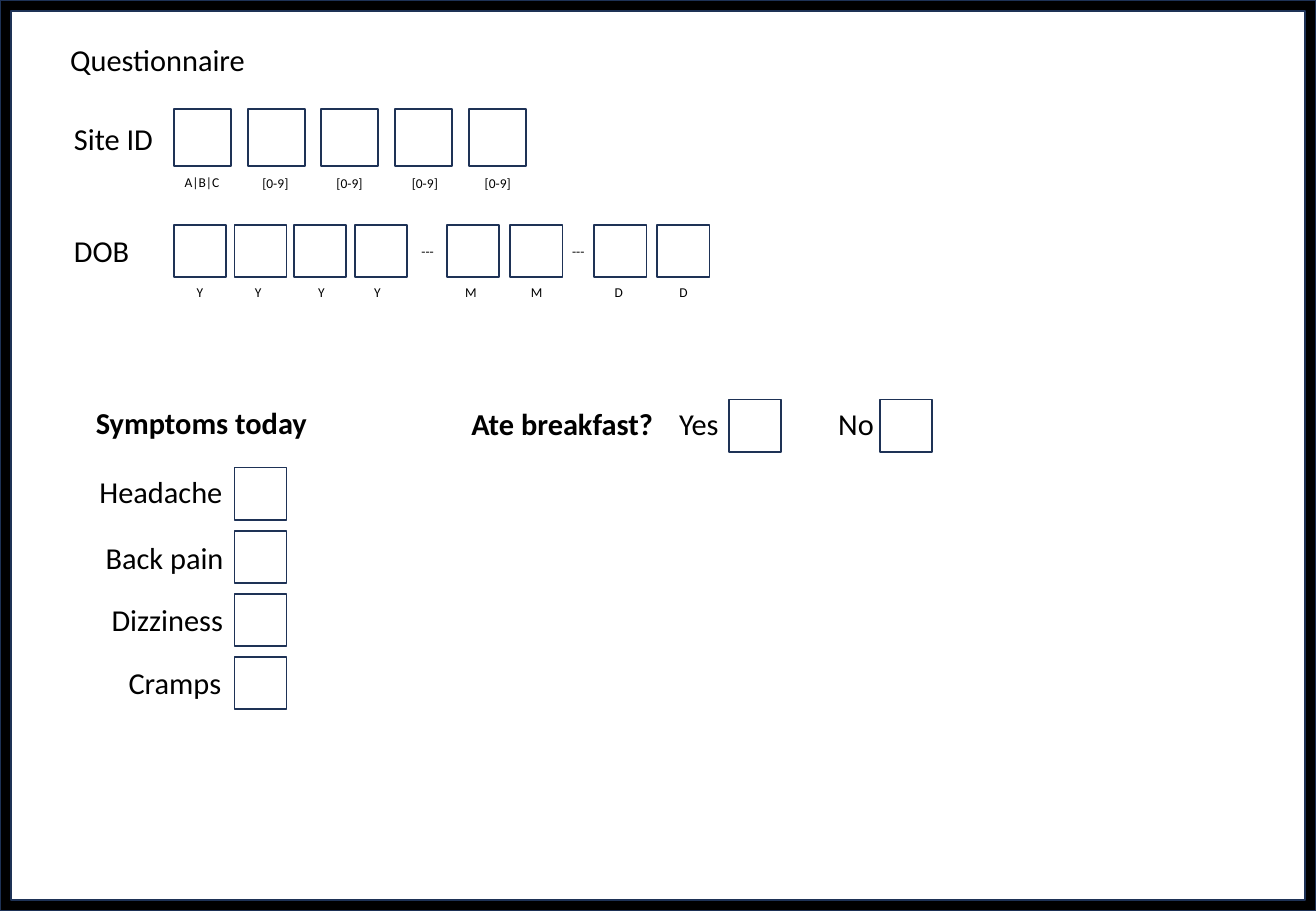
import pptx
import pptx.util
import pptx.dml.color
import pptx.enum.shapes
import pptx.enum.text

PX = 9144
BLACK = pptx.dml.color.RGBColor(0x00, 0x00, 0x00)
NAVY = pptx.dml.color.RGBColor(0x1E, 0x32, 0x56)
SHAPE = pptx.enum.shapes.MSO_SHAPE
LEFT = pptx.enum.text.PP_ALIGN.LEFT
CENTER = pptx.enum.text.PP_ALIGN.CENTER

prs = pptx.Presentation()
prs.slide_width = 1083 * PX
prs.slide_height = 750 * PX
s = prs.slides.add_slide(prs.slide_layouts[6])


def add_outline(kind, x, y, w, h):
    sp = s.shapes.add_shape(kind, x * PX, y * PX, w * PX, h * PX)
    sp.shadow.inherit = False
    sp.fill.background()
    sp.line.color.rgb = NAVY
    sp.line.width = pptx.util.Pt(1)
    return sp


def add_label(text, x, y, w, h=40, size=18, bold=False, align=LEFT):
    tf = s.shapes.add_textbox(x * PX, y * PX, w * PX, h * PX).text_frame
    tf.word_wrap = False
    tf.auto_size = pptx.enum.text.MSO_AUTO_SIZE.SHAPE_TO_FIT_TEXT
    p = tf.paragraphs[0]
    p.alignment = align
    r = p.add_run()
    r.text = text
    font = {"name": "Calibri", "size": pptx.util.Pt(size), "bold": bold}
    for key, value in font.items():
        setattr(r.font, key, value)
    r.font.color.rgb = BLACK


border = add_outline(SHAPE.FRAME, 0, 0, 1083, 750)
border.adjustments[0] = 0.012
border.fill.solid()
border.fill.fore_color.rgb = BLACK

for text, x, y, w, bold in [
    ("Questionnaire", 48, 29, 166, False),
    ("Site ID", 51, 94, 92, False),
    ("DOB", 51, 186, 66, False),
    ("Symptoms today", 69, 328, 195, True),
    ("Ate breakfast?", 378, 329, 171, True),
]:
    add_label(text, x, y, w, bold=bold)

for i in range(5):
    add_outline(SHAPE.RECTANGLE, round(143 + 60.75 * i), 90, 47, 47)

add_label("A|B|C", 142, 138, 49, 24, 8)
for x in [206, 267, 329, 389]:
    add_label("[0-9]", x, 139, 42, 24, 8)

for text, box_x, x, w, align in [
    ("Y", 143, 152, 26, LEFT),
    ("Y", 193, 200, 26, LEFT),
    ("Y", 242, 252, 26, LEFT),
    ("Y", 292, 298, 26, LEFT),
    ("M", 368, 373, 30, LEFT),
    ("M", 420, 427, 30, LEFT),
    ("D", 489, 496, 27, LEFT),
    ("D", 541, 549, 27, CENTER),
]:
    add_outline(SHAPE.RECTANGLE, box_x, 185, 43, 43)
    add_label(text, x, 229, w, 24, 8, align=align)

for x in [337, 461]:
    add_label("---", x, 195, 31, 24, 8)

for i, (text, x, y, w) in enumerate([
    ("Headache", 72, 385, 123),
    ("Back pain", 77, 439, 118),
    ("Dizziness", 82, 490, 113),
    ("Cramps", 96, 542, 97),
]):
    add_outline(SHAPE.RECTANGLE, 193, 385 + 52 * i, 43, 43)
    add_label(text, x, y, w)

for text, x, w, box_x in [("Yes", 549, 53, 600), ("No", 680, 50, 724)]:
    add_outline(SHAPE.RECTANGLE, box_x, 329, 43, 43)
    add_label(text, x, 329, w)

prs.save("out.pptx")
